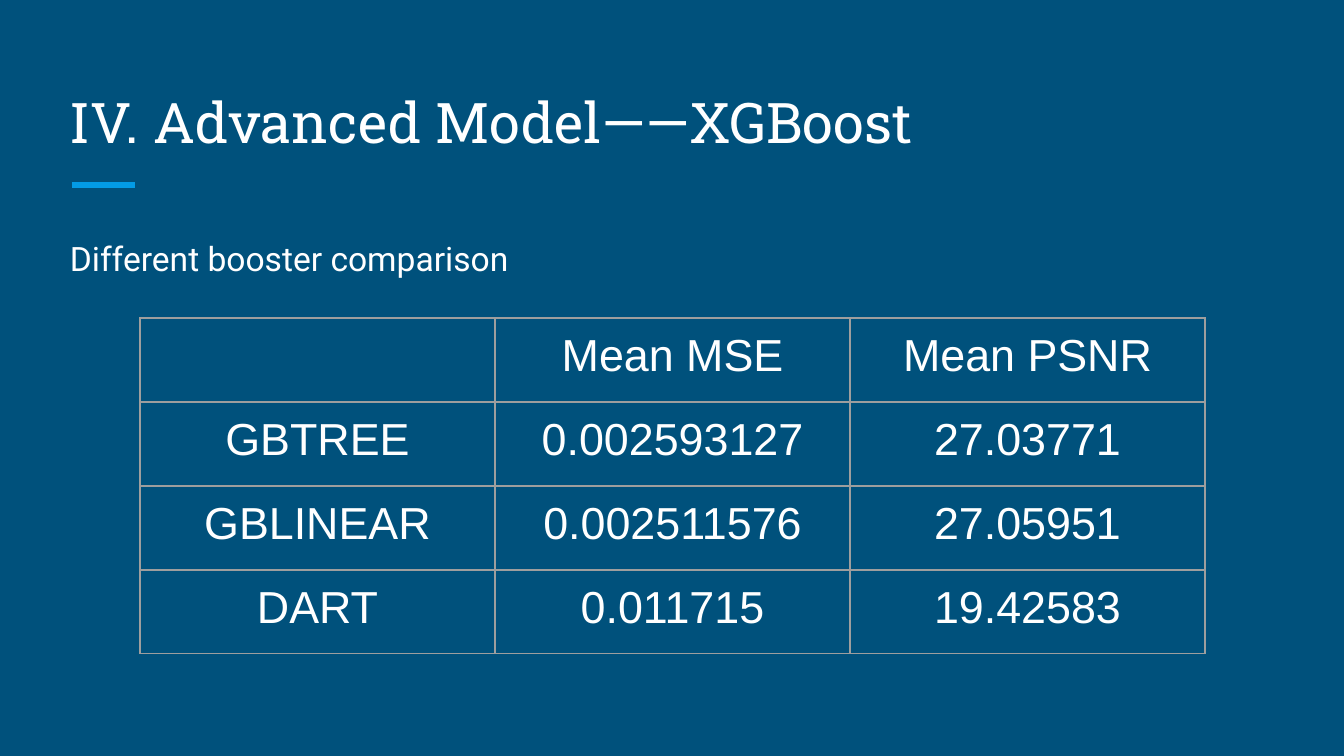
import pptx
import pptx.dml.color
import pptx.enum.shapes
import pptx.enum.text
import pptx.oxml
import pptx.oxml.ns
import pptx.util
from lxml import etree

EMU_PER_PX = 9144000 / 1344
SLIDE_WIDTH, SLIDE_HEIGHT = 1344, 756
INSET = 13

NAVY = pptx.dml.color.RGBColor(0x00, 0x51, 0x7C)
SKY = pptx.dml.color.RGBColor(0x03, 0x9B, 0xE5)
WHITE = pptx.dml.color.RGBColor(0xFF, 0xFF, 0xFF)
GREY = pptx.dml.color.RGBColor(0x9E, 0x9E, 0x9E)

BOOSTER_ROWS = [
    ("", "Mean MSE", "Mean PSNR"),
    ("GBTREE", "0.002593127", "27.03771"),
    ("GBLINEAR", "0.002511576", "27.05951"),
    ("DART", "0.011715", "19.42583"),
]


def px(length):
    return pptx.util.Emu(round(length * EMU_PER_PX))


def add_element(parent, tag, **attributes):
    return etree.SubElement(parent, pptx.oxml.ns.qn(tag), attributes)


def write_text(frame, text, *, font, size, align=pptx.enum.text.PP_ALIGN.LEFT,
               line_spacing=1.0, space_after=0):
    paragraph = frame.paragraphs[0]
    paragraph.alignment = align
    paragraph.line_spacing = line_spacing
    paragraph.space_after = pptx.util.Pt(space_after)
    run = paragraph.add_run()
    run.text = text
    run.font.name = font
    run.font.size = pptx.util.Pt(size)
    run.font.color.rgb = WHITE
    add_element(run.font._element, "a:ea", typeface=font)


def set_margins(target):
    target.margin_left = target.margin_right = px(INSET)
    target.margin_top = target.margin_bottom = px(INSET)


def add_text_box(slide, text, left, top, width, height, *,
                 anchor=pptx.enum.text.MSO_ANCHOR.TOP, **text_format):
    frame = slide.shapes.add_textbox(px(left), px(top), px(width), px(height)).text_frame
    frame.word_wrap = True
    frame.vertical_anchor = anchor
    set_margins(frame)
    write_text(frame, text, **text_format)


def add_rule(slide, left, right, y, *, color, weight):
    rule = slide.shapes.add_connector(
        pptx.enum.shapes.MSO_CONNECTOR.STRAIGHT, px(left), px(y), px(right), px(y))
    rule.line.color.rgb = color
    rule.line.width = pptx.util.Pt(weight)
    add_element(rule._element.spPr, "a:effectLst")


def set_cell_borders(cell, color, weight):
    properties = cell._tc.get_or_add_tcPr()
    for position, side in enumerate(("a:lnL", "a:lnR", "a:lnT", "a:lnB")):
        border = add_element(properties, side, w=str(pptx.util.Pt(weight)))
        fill = add_element(border, "a:solidFill")
        add_element(fill, "a:srgbClr", val=str(color))
        properties.insert(position, border)


def add_booster_table(slide, rows, left, top, column_width, row_height):
    column_count = len(rows[0])
    table = slide.shapes.add_table(
        len(rows), column_count, px(left), px(top),
        px(column_width * column_count), px(row_height * len(rows))).table
    table.first_row = False
    table.horz_banding = False
    for row_index, values in enumerate(rows):
        for column_index, value in enumerate(values):
            cell = table.cell(row_index, column_index)
            cell.fill.background()
            set_margins(cell)
            set_cell_borders(cell, GREY, 0.75)
            if value:
                write_text(cell.text_frame, value, font="Arial", size=24,
                           align=pptx.enum.text.PP_ALIGN.CENTER)


def main():
    presentation = pptx.Presentation()
    presentation.slide_width = px(SLIDE_WIDTH)
    presentation.slide_height = px(SLIDE_HEIGHT)
    slide = presentation.slides.add_slide(presentation.slide_layouts[6])
    slide.background.fill.solid()
    slide.background.fill.fore_color.rgb = NAVY

    add_rule(slide, 72, 135, 185, color=SKY, weight=3)
    add_text_box(slide, "IV. Advanced Model——XGBoost", 57, 67, 1230, 101,
                 anchor=pptx.enum.text.MSO_ANCHOR.BOTTOM, font="Roboto Slab", size=30)
    add_text_box(slide, "Different booster comparison", 57, 219, 1230, 453,
                 font="Roboto", size=18, line_spacing=1.15, space_after=16)
    add_booster_table(slide, BOOSTER_ROWS, 140, 318, 355, 84)

    presentation.save("out.pptx")


if __name__ == "__main__":
    main()
